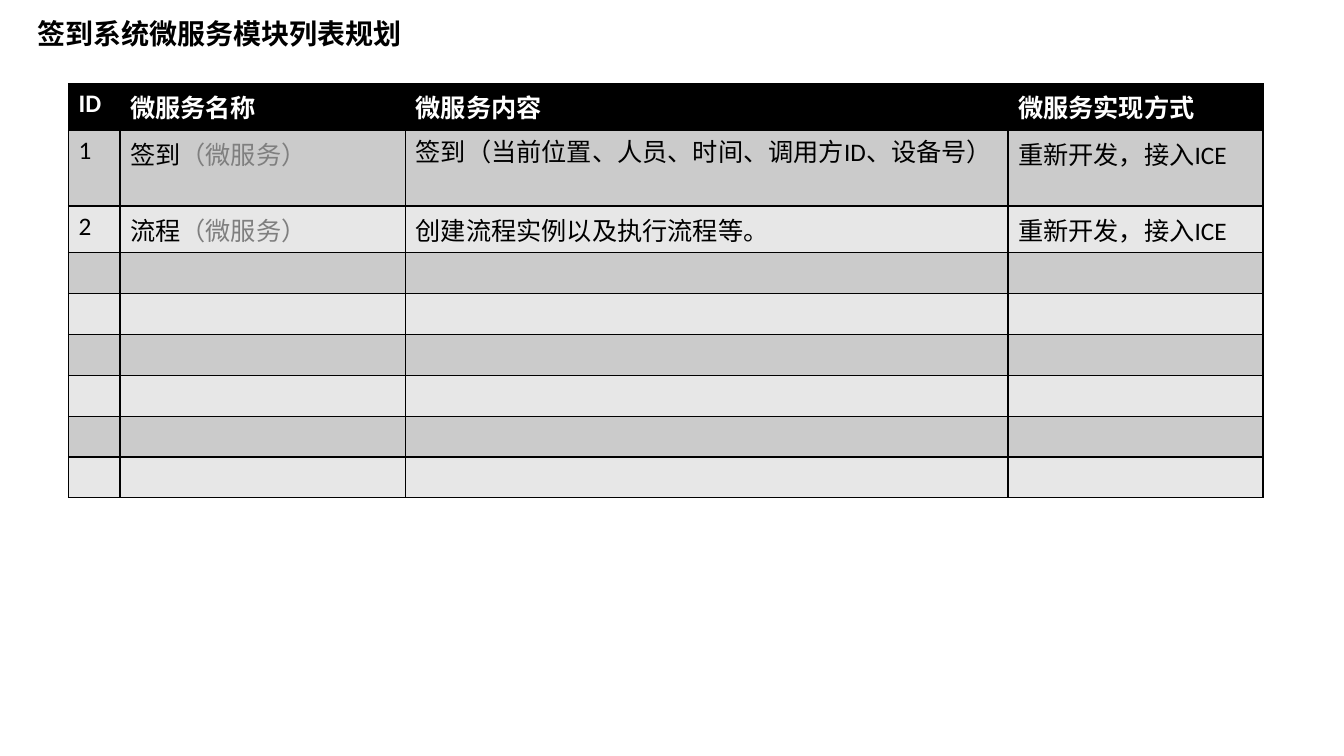
from dataclasses import dataclass

from lxml.etree import SubElement
from pptx import Presentation
from pptx.dml.color import RGBColor
from pptx.enum.text import MSO_AUTO_SIZE
from pptx.oxml.ns import qn
from pptx.slide import Slide
from pptx.table import _Cell as Cell
from pptx.text.text import _Paragraph as Paragraph
from pptx.util import Inches, Length, Pt


@dataclass(frozen=True)
class Theme:
    font: str = "Calibri"
    title_size: int = 20
    table_size: int = 18
    ink: str = "000000"
    muted: str = "7F7F7F"
    header_ink: str = "FFFFFF"
    header_fill: str = "000000"
    bands: tuple[str, str] = ("CBCBCB", "E7E7E7")
    border: str = "000000"
    border_width: int = 1


@dataclass(frozen=True)
class Service:
    number: str
    name: str
    content: str
    approach: str


@dataclass(frozen=True)
class Span:
    text: str
    color: str
    bold: bool = False


THEME = Theme()
SLIDE_WIDTH, SLIDE_HEIGHT = Inches(13.33), Inches(7.5)

TITLE = "签到系统微服务模块列表规划"
HEADERS = ("ID", "微服务名称", "微服务内容", "微服务实现方式")
NAME_SUFFIX = "（微服务）"
SERVICES = (
    Service("1", "签到", "签到（当前位置、人员、时间、调用方ID、设备号）", "重新开发，接入ICE"),
    Service("2", "流程", "创建流程实例以及执行流程等。", "重新开发，接入ICE"),
)
WRAPPED_CELL = (1, 2)  # row and column of the long description

# Percentages of the slide's width and height
COLUMN_SHARES = (3.83, 21.25, 44.83, 18.97)
ROW_SHARE = 5.35
ROW_COUNT = 9


def across(percent: float) -> Length:
    return Length(round(SLIDE_WIDTH * percent / 100))


def down(percent: float) -> Length:
    return Length(round(SLIDE_HEIGHT * percent / 100))


def add_spans(paragraph: Paragraph, spans: list[Span], size: int) -> None:
    for span in spans:
        run = paragraph.add_run()
        run.text = span.text
        run.font.name = THEME.font
        run.font.size = Pt(size)
        run.font.bold = span.bold
        run.font.color.rgb = RGBColor.from_string(span.color)


def add_borders(cell: Cell) -> None:
    """Rule all four sides; borders must precede the fill in the cell's XML."""
    properties = cell._tc.get_or_add_tcPr()
    for side in ("lnL", "lnR", "lnT", "lnB"):
        line = SubElement(properties, qn(f"a:{side}"), w=str(Pt(THEME.border_width)))
        solid = SubElement(line, qn("a:solidFill"))
        SubElement(solid, qn("a:srgbClr"), val=THEME.border)


def service_spans(service: Service) -> list[list[Span]]:
    return [
        [Span(service.number, THEME.ink)],
        [Span(service.name, THEME.ink), Span(NAME_SUFFIX, THEME.muted)],
        [Span(service.content, THEME.ink)],
        [Span(service.approach, THEME.ink)],
    ]


def add_title(slide: Slide) -> None:
    box = slide.shapes.add_textbox(across(2.03), down(1.47), across(29.33), down(5.87))
    frame = box.text_frame
    frame.word_wrap = False
    frame.auto_size = MSO_AUTO_SIZE.SHAPE_TO_FIT_TEXT
    add_spans(frame.paragraphs[0], [Span(TITLE, THEME.ink, bold=True)], THEME.title_size)


def add_service_table(slide: Slide) -> None:
    table = slide.shapes.add_table(
        ROW_COUNT, len(HEADERS), across(5.1), down(11.07),
        across(sum(COLUMN_SHARES)), down(ROW_SHARE * ROW_COUNT),
    ).table
    table.horz_banding = False
    for column, share in zip(table.columns, COLUMN_SHARES):
        column.width = across(share)

    header = [[Span(text, THEME.header_ink, bold=True)] for text in HEADERS]
    contents = [header, *map(service_spans, SERVICES)]
    for row_index, row in enumerate(table.rows):
        row.height = down(ROW_SHARE)
        fill = THEME.bands[(row_index - 1) % 2] if row_index else THEME.header_fill
        for column_index, cell in enumerate(row.cells):
            add_borders(cell)
            cell.fill.solid()
            cell.fill.fore_color.rgb = RGBColor.from_string(fill)
            if row_index < len(contents):
                paragraph = cell.text_frame.paragraphs[0]
                add_spans(paragraph, contents[row_index][column_index], THEME.table_size)

    wrapped = table.cell(*WRAPPED_CELL).text_frame.paragraphs[0]
    wrapped.line_spacing = 0.9
    wrapped.space_before = Pt(10)


def main() -> None:
    presentation = Presentation()
    presentation.slide_width, presentation.slide_height = SLIDE_WIDTH, SLIDE_HEIGHT
    slide = presentation.slides.add_slide(presentation.slide_layouts[6])
    add_service_table(slide)
    add_title(slide)
    presentation.save("out.pptx")


if __name__ == "__main__":
    main()
